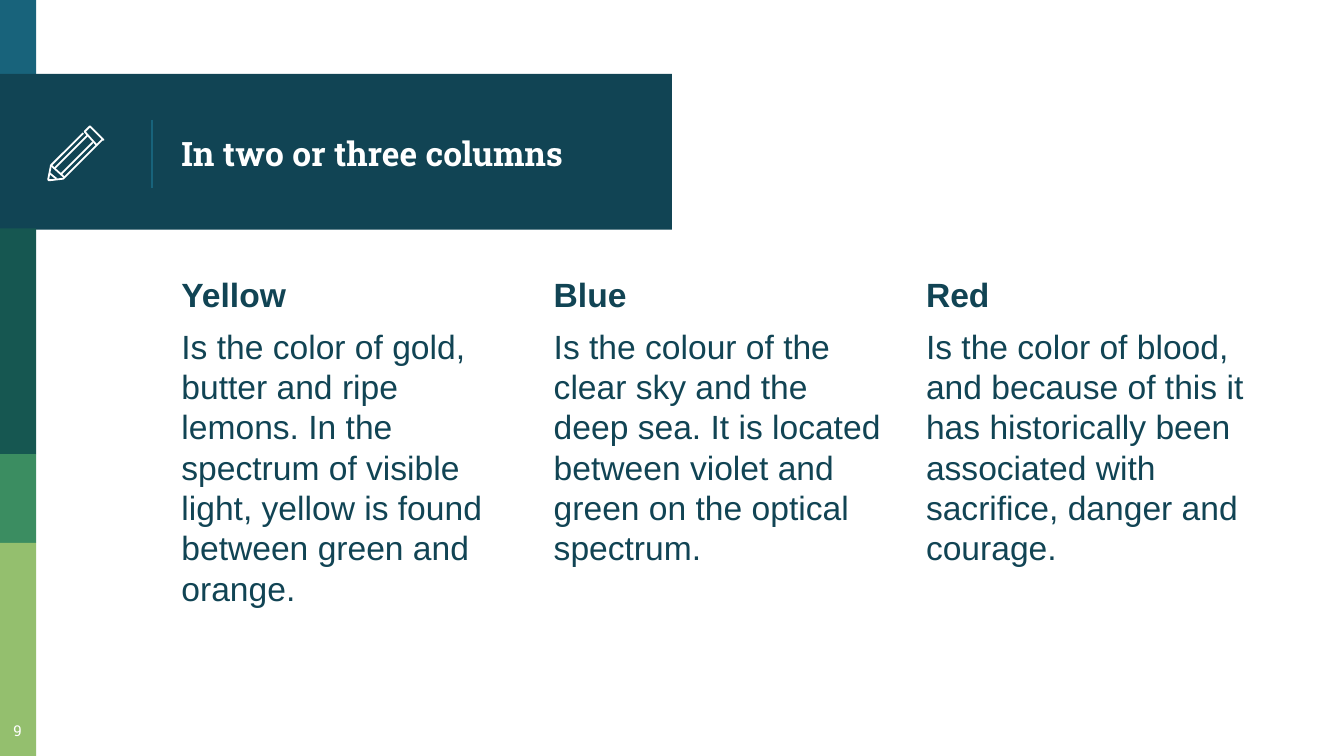
from pptx import Presentation, util as u
from pptx.dml.color import RGBColor
from pptx.enum import shapes as es, text as et
from pptx.oxml.ns import qn
from lxml import etree

# Content
TITLE = "In two or three columns"
COLS = [
    ("Yellow", "Is the color of gold, butter and ripe lemons. In the spectrum of "
               "visible light, yellow is found between green and orange."),
    ("Blue", "Is the colour of the clear sky and the deep sea. It is located "
             "between violet and green on the optical spectrum."),
    ("Red", "Is the color of blood, and because of this it has historically been "
            "associated with sacrifice, danger and courage."),
]
PAGE = "9"

# Colours and fonts
WHITE = RGBColor(0xFF, 0xFF, 0xFF)
NAVY = RGBColor(0x11, 0x44, 0x54)
BLUE = RGBColor(0x18, 0x63, 0x7B)
TEAL = RGBColor(0x16, 0x57, 0x51)
GREEN = RGBColor(0x3B, 0x8D, 0x61)
LIME = RGBColor(0x94, 0xBF, 0x6E)
SLAB, SANS = "Roboto Slab", "Arial"

# Layout in inches, on a 16:9 slide
WIDE = 10
HIGH = WIDE * 9 / 16
SIDE = 0.27
LEFT, STEP, COL = 1.25, 2.77, 2.64
BANDS = [  # top, width, height, colour
    (0, SIDE, 0.58, BLUE),
    (0.55, WIDE / 2, 1.16, NAVY),
    (1.7, SIDE, 1.68, TEAL),
    (3.38, SIDE, 0.66, GREEN),
    (4.04, SIDE, HIGH - 4.04, LIME),
]
# Pencil strokes in hundredths of an inch: points, closed
PENCIL = [
    ([(76, 103), (68, 95), (67, 94), (66, 95), (63, 98), (72, 108),
      (76, 104), (77, 103.5)], True),                       # rubber
    ([(62, 99), (38, 123), (36, 133), (36.5, 134), (38, 134), (47, 133),
      (48, 132.5), (72, 108)], False),                      # body
    ([(69, 106), (45, 130)], False),
    ([(65, 101), (41, 125)], False),
    ([(41.5, 133), (37, 129)], False),                      # lead
    ([(38, 123), (47.5, 132.5)], False),                    # cut
]

deck = Presentation()
deck.slide_width, deck.slide_height = u.Inches(WIDE), u.Inches(HIGH)
slide = deck.slides.add_slide(deck.slide_layouts.get_by_name("Comparison"))
parts = slide.shapes


def place(shape, *box):
    for name, val in zip(("left", "top", "width", "height"), box):
        setattr(shape, name, u.Inches(val))


def frame(shape, anchor):
    form = {"word_wrap": True, "auto_size": et.MSO_AUTO_SIZE.NONE,
            "vertical_anchor": anchor}
    form |= {f"margin_{s}": u.Inches(0.1) for s in ("left", "top", "right", "bottom")}
    for name, val in form.items():
        setattr(shape.text_frame, name, val)
    return shape.text_frame


def write(para, words, align=et.PP_ALIGN.LEFT, **form):
    run = para.add_run()
    run.text = words
    para.alignment = align
    run.font.color.rgb = form.pop("color")
    for name, val in form.items():
        setattr(run.font, name, val)


# Side strip and title band
for top, wide, high, color in BANDS:
    band = parts.add_shape(es.MSO_SHAPE.RECTANGLE, 0, 0, 0, 0)
    place(band, 0, top, wide, high)
    band.shadow.inherit = False
    band.fill.solid()
    band.fill.fore_color.rgb = color
    band.line.fill.background()

# Rule beside the title
rule = parts.add_connector(es.MSO_CONNECTOR.STRAIGHT,
                           *map(u.Inches, (1.13, 0.89, 1.13, 1.4)))
rule.line.color.rgb, rule.line.width = BLUE, u.Pt(0.75)
etree.SubElement(rule._element.spPr, qn("a:effectLst"))

# Pencil icon
for pts, shut in PENCIL:
    pen = parts.build_freeform(*pts[0], scale=u.Inches(0.01))
    pen.add_line_segments(pts[1:], close=shut)
    mark = pen.convert_to_shape()
    mark.shadow.inherit = False
    mark.fill.background()
    mark.line.color.rgb, mark.line.width = WHITE, u.Pt(0.96)

# Title and columns, brought in front of the bands
title, *bodies = list(slide.placeholders)
for spare in bodies[len(COLS):]:
    spare._element.getparent().remove(spare._element)
for item in [title, *bodies[:len(COLS)]]:
    parts._spTree.append(item._element)

place(title, LEFT, 0.58, 3.51, 1.12)
write(frame(title, et.MSO_ANCHOR.MIDDLE).paragraphs[0], TITLE,
      size=u.Pt(18), name=SLAB, bold=True, color=WHITE)

for i, (body, pair) in enumerate(zip(bodies, COLS)):
    place(body, LEFT + i * STEP, 1.94, COL, 3.45)
    box = frame(body, et.MSO_ANCHOR.TOP)
    for j, words in enumerate(pair):
        para = box.add_paragraph() if j else box.paragraphs[0]
        write(para, words, size=u.Pt(18), name=SANS, bold=j == 0, color=NAVY)
        para.space_before, para.line_spacing = u.Pt(6), 1.0
        props = para._p.get_or_add_pPr()
        props.set("marL", "0")
        props.set("indent", "0")
        etree.SubElement(props, qn("a:buNone"))

# Page number
num = parts.add_textbox(0, 0, 0, 0)
place(num, -0.06, 5.27, 0.38, 0.35)
write(frame(num, et.MSO_ANCHOR.TOP).paragraphs[0], PAGE, et.PP_ALIGN.CENTER,
      size=u.Pt(8), name=SLAB, color=WHITE)

deck.save("out.pptx")
